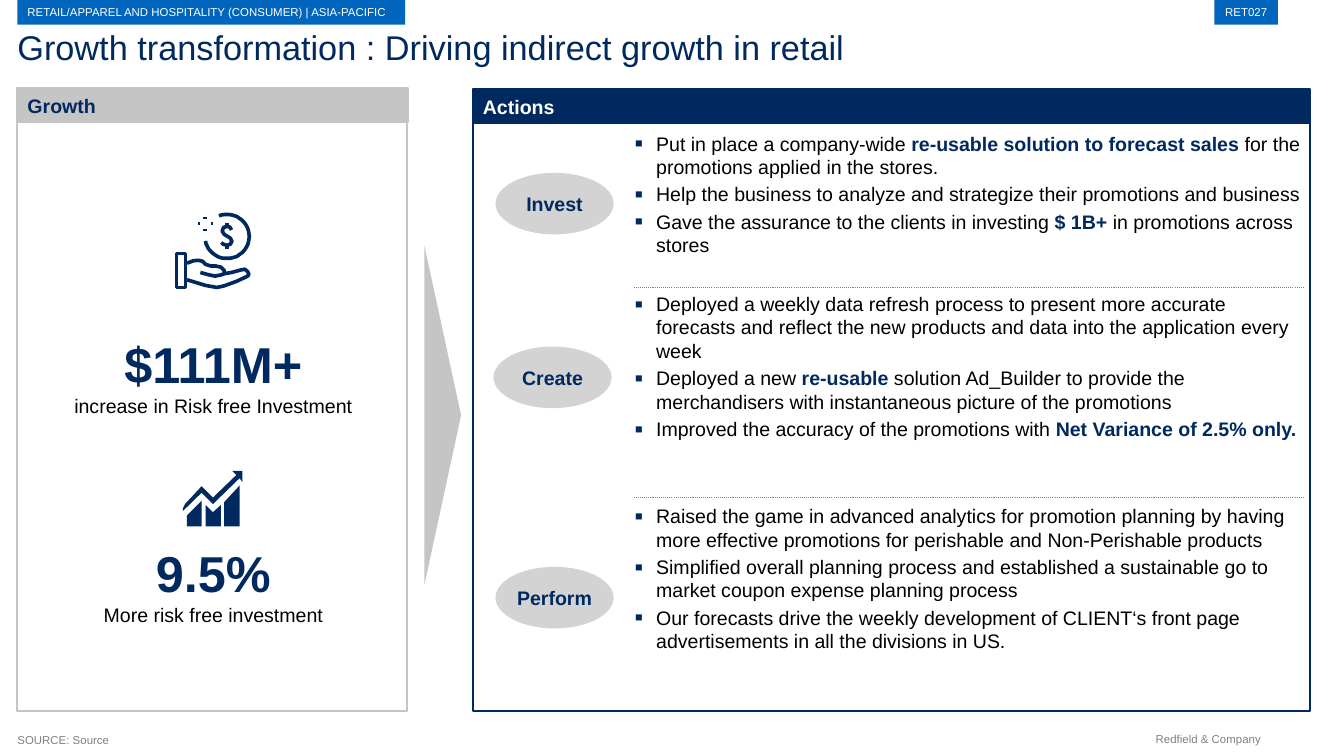
from dataclasses import dataclass
from math import cos, radians, sin
from typing import Any

from lxml.etree import SubElement
from pptx import Presentation
from pptx.dml.color import RGBColor
from pptx.enum.dml import MSO_LINE
from pptx.enum.shapes import MSO_CONNECTOR, MSO_SHAPE
from pptx.enum.text import MSO_ANCHOR, PP_ALIGN
from pptx.oxml.ns import qn
from pptx.util import Cm, Pt

NAVY = RGBColor(0x00, 0x29, 0x60)
BLUE = RGBColor(0x00, 0x65, 0xBD)
SILVER = RGBColor(0xC5, 0xC5, 0xC5)
GRAY = RGBColor(0x80, 0x80, 0x80)
BLACK = RGBColor(0x00, 0x00, 0x00)
WHITE = RGBColor(0xFF, 0xFF, 0xFF)

BODY_SIZE = 13.7
SMALL_SIZE = 8
ICON_STROKE = Cm(0.09)
BORDER = Cm(0.05)
NO_INSETS = {name: 0 for name in ("margin_left", "margin_top", "margin_right", "margin_bottom")}

Point = tuple[float, float]


@dataclass(frozen=True)
class Area:
    left: float
    top: float
    width: float
    height: float

    def lengths(self) -> tuple[int, ...]:
        return tuple(Cm(value) for value in (self.left, self.top, self.width, self.height))


@dataclass(frozen=True)
class Words:
    text: str
    size: float = BODY_SIZE
    color: RGBColor = BLACK
    bold: bool = False


@dataclass(frozen=True)
class Action:
    name: str
    badge: Area
    area: Area
    bullets: list[list[Words]]


@dataclass(frozen=True)
class Metric:
    area: Area
    value: str
    caption: str


@dataclass(frozen=True)
class Panel:
    title: str
    body: Area
    header: Area
    color: RGBColor
    title_color: RGBColor


def strong(text: str) -> Words:
    return Words(text, color=NAVY, bold=True)


def apply_format(target: Any, values: dict[str, Any]) -> None:
    for name, value in values.items():
        setattr(target, name, value)


def write_words(paragraph: Any, words: list[Words]) -> None:
    for item in words:
        if item.text == "\n":
            paragraph.add_line_break()
            continue
        run = paragraph.add_run()
        run.text = item.text
        apply_format(run.font, {"name": "Arial", "size": Pt(item.size), "bold": item.bold})
        run.font.color.rgb = item.color


def add_text(slide: Any, area: Area, words: list[Words], alignment: Any = PP_ALIGN.LEFT, **frame: Any) -> None:
    text_frame = slide.shapes.add_textbox(*area.lengths()).text_frame
    apply_format(text_frame, {**NO_INSETS, "word_wrap": True, **frame})
    text_frame.paragraphs[0].alignment = alignment
    write_words(text_frame.paragraphs[0], words)


def style_shape(shape: Any, fill: RGBColor | None, line: RGBColor | None, width: int = BORDER) -> None:
    shape.shadow.inherit = False
    if fill is None:
        shape.fill.background()
    else:
        shape.fill.solid()
        shape.fill.fore_color.rgb = fill
    if line is None:
        shape.line.fill.background()
    else:
        shape.line.color.rgb = line
        shape.line.width = width


def add_block(slide: Any, kind: Any, area: Area, fill: RGBColor | None, line: RGBColor | None = None,
              words: Words | None = None, alignment: Any = PP_ALIGN.LEFT, **frame: Any) -> Any:
    shape = slide.shapes.add_shape(kind, *area.lengths())
    style_shape(shape, fill, line)
    if words:
        apply_format(shape.text_frame, {"vertical_anchor": MSO_ANCHOR.MIDDLE, **frame})
        shape.text_frame.paragraphs[0].alignment = alignment
        write_words(shape.text_frame.paragraphs[0], [words])
    return shape


def add_line(slide: Any, start: Point, end: Point, color: RGBColor, width: int, dash: Any = None) -> None:
    ends = (Cm(value) for value in (*start, *end))
    connector = slide.shapes.add_connector(MSO_CONNECTOR.STRAIGHT, *ends)
    connector.line.color.rgb = color
    apply_format(connector.line, {"width": width, "dash_style": dash})
    SubElement(connector._element.spPr, qn("a:effectLst"))


def add_outline(slide: Any, points: list[Point], filled: bool, closed: bool) -> None:
    builder = slide.shapes.build_freeform(*points[0], scale=Cm(0.01))
    builder.add_line_segments(points[1:], close=closed)
    shape = builder.convert_to_shape()
    style_shape(shape, NAVY if filled else None, None if filled else NAVY, ICON_STROKE)


def add_bullets(slide: Any, area: Area, bullets: list[list[Words]]) -> None:
    text_frame = slide.shapes.add_textbox(*area.lengths()).text_frame
    apply_format(text_frame, {**NO_INSETS, "word_wrap": True})
    for index, words in enumerate(bullets):
        paragraph = text_frame.add_paragraph() if index else text_frame.paragraphs[0]
        properties = paragraph._p.get_or_add_pPr()
        properties.set("marL", str(Cm(0.56)))
        properties.set("indent", str(Cm(-0.53)))
        SubElement(SubElement(properties, qn("a:buClr")), qn("a:srgbClr"), val=str(NAVY))
        SubElement(properties, qn("a:buSzPct"), val="125000")
        SubElement(properties, qn("a:buFont"), typeface="Arial")
        SubElement(properties, qn("a:buChar"), char="▪")
        if index:
            paragraph.space_before = Pt(2.7)
        write_words(paragraph, words)


def add_action(slide: Any, action: Action) -> None:
    badge = add_block(slide, MSO_SHAPE.OVAL, action.badge, SILVER, None, strong(action.name),
                      PP_ALIGN.CENTER, word_wrap=False, **NO_INSETS)
    fill_color = badge._element.spPr.find(qn("a:solidFill")).find(qn("a:srgbClr"))
    SubElement(fill_color, qn("a:alpha"), val="75000")
    add_bullets(slide, action.area, action.bullets)


PANELS = [
    Panel("Growth", Area(0.43, 2.69, 9.63, 14.86), Area(0.43, 2.18, 9.65, 0.84), SILVER, NAVY),
    Panel("Actions", Area(11.68, 2.69, 20.68, 14.86), Area(11.68, 2.21, 20.68, 0.84), NAVY, WHITE),
]
METRICS = [
    Metric(Area(1.55, 8.23, 7.44, 2.69), "$111M+", "increase in Risk free Investment"),
    Metric(Area(2.31, 13.39, 5.92, 2.69), "9.5%", "More risk free investment"),
]
ACTIONS = [
    Action("Invest", Area(12.24, 4.27, 2.92, 1.52), Area(15.65, 3.25, 16.56, 3.18), [
        [Words("Put in place a company-wide "), strong("re-usable solution to forecast sales"),
         Words(" for the promotions applied in the stores.")],
        [Words("Help the business to analyze and strategize their promotions and business")],
        [Words("Gave the assurance to the clients in investing "), strong("$ 1B+"),
         Words(" in promotions across stores")],
    ]),
    Action("Create", Area(12.19, 8.56, 2.92, 1.52), Area(15.65, 7.21, 16.56, 3.76), [
        [Words("Deployed a weekly data refresh process to present more accurate forecasts and reflect "
               "the new products and data into the application every week")],
        [Words("Deployed a new "), strong("re-usable"),
         Words(" solution Ad_Builder to provide the merchandisers with instantaneous picture of the promotions")],
        [Words("Improved the accuracy of the promotions with "), strong("Net Variance of 2.5% only.")],
    ]),
    Action("Perform", Area(12.24, 14, 2.92, 1.52), Area(15.65, 12.45, 16.56, 3.76), [
        [Words("Raised the game in advanced analytics for promotion planning by having more effective "
               "promotions for perishable and Non-Perishable products")],
        [Words("Simplified overall planning process and established a sustainable go to market coupon "
               "expense planning process")],
        [Words("Our forecasts drive the weekly development of CLIENT‘s front page advertisements in all "
               "the divisions in US.")],
    ]),
]
CHART_ICON = [
    [(526, 1245), (498, 1217), (452, 1262), (452, 1255), (457, 1245), (498, 1201), (526, 1229),
     (584, 1173), (574, 1163), (599, 1163), (599, 1191), (592, 1181)],
    [(592, 1199), (592, 1300), (554, 1300), (554, 1240)],
    [(508, 1247), (526, 1265), (546, 1247), (546, 1300), (508, 1300)],
    [(462, 1300), (462, 1273), (498, 1237), (498, 1300)],
]
CUFF = [(436, 626), (458, 626), (458, 710), (436, 710)]
COIN = [(561 + 54.5 * cos(radians(angle)), 584 + 54.5 * sin(radians(angle))) for angle in range(-112, 169, 7)]
FINGERS = [(462, 650), (478, 644), (490, 643), (500, 645), (508, 653), (521, 657), (533, 657), (546, 660),
           (554, 668), (554, 676), (546, 679), (531, 682), (513, 678), (495, 673)]
PALM = [(554, 676), (572, 673), (594, 667), (605, 665), (612, 671), (615, 678), (610, 683), (584, 695),
        (554, 706), (536, 710), (508, 705), (462, 691)]
DOLLAR = [(572, 568), (568, 561), (561, 559), (552, 562), (549, 571), (554, 579), (561, 583), (569, 588),
          (573, 596), (569, 603), (561, 606), (551, 603), (547, 599)]
DOLLAR_TICKS = [((5.61, 5.51), (5.61, 5.59)), ((5.61, 6.06), (5.61, 6.14))]
SPARKLES = [((5.07, 5.35), (5.07, 5.42)), ((5.07, 5.65), (5.07, 5.71)),
            ((5.21, 5.52), (5.27, 5.52)), ((4.89, 5.52), (4.95, 5.52))]
TAGS = [("RET027", Area(30, 0, 1.57, 0.61), PP_ALIGN.CENTER),
        ("RETAIL/APPAREL AND HOSPITALITY (CONSUMER) | ASIA-PACIFIC", Area(0.43, 0, 9.58, 0.61), PP_ALIGN.LEFT)]


def main() -> None:
    presentation = Presentation()
    apply_format(presentation, {"slide_width": Cm(33.2), "slide_height": Cm(18.67)})
    slide = presentation.slides.add_slide(presentation.slide_layouts[6])

    add_text(slide, Area(0.43, 0.64, 31.93, 1.02),
             [Words("Growth transformation : Driving indirect growth in retail", 24, NAVY)])
    for panel in PANELS:
        add_block(slide, MSO_SHAPE.RECTANGLE, panel.body, None, panel.color)
        add_block(slide, MSO_SHAPE.RECTANGLE, panel.header, panel.color, panel.color,
                  Words(panel.title, color=panel.title_color, bold=True))
    for metric in METRICS:
        add_text(slide, metric.area, [Words(metric.value, 35.3, NAVY, True), Words("\n"), Words(metric.caption)],
                 PP_ALIGN.CENTER)
    arrow = add_block(slide, MSO_SHAPE.ISOSCELES_TRIANGLE, Area(6.73, 9.8, 8.41, 0.91), SILVER)
    arrow.rotation = 90
    for action in ACTIONS:
        add_action(slide, action)
    for top in (7.09, 12.29):
        add_line(slide, (15.65, top), (32.21, top), GRAY, Pt(0.75), MSO_LINE.ROUND_DOT)
    for points in CHART_ICON:
        add_outline(slide, points, filled=True, closed=True)
    for points in (CUFF, COIN, FINGERS, PALM, DOLLAR):
        add_outline(slide, points, filled=False, closed=points is CUFF)
    for start, end in DOLLAR_TICKS + SPARKLES:
        add_line(slide, start, end, NAVY, ICON_STROKE)
    for text, area, alignment in TAGS:
        add_block(slide, MSO_SHAPE.RECTANGLE, area, BLUE, None, Words(text, SMALL_SIZE, WHITE), alignment,
                  word_wrap=False)
    add_text(slide, Area(0.43, 18.08, 27.64, 0.36), [Words("SOURCE: Source", SMALL_SIZE, GRAY)],
             vertical_anchor=MSO_ANCHOR.BOTTOM)
    add_text(slide, Area(28.55, 18.08, 2.82, 0.33), [Words("Redfield & Company", SMALL_SIZE, GRAY)],
             word_wrap=False)
    presentation.save("out.pptx")


if __name__ == "__main__":
    main()
